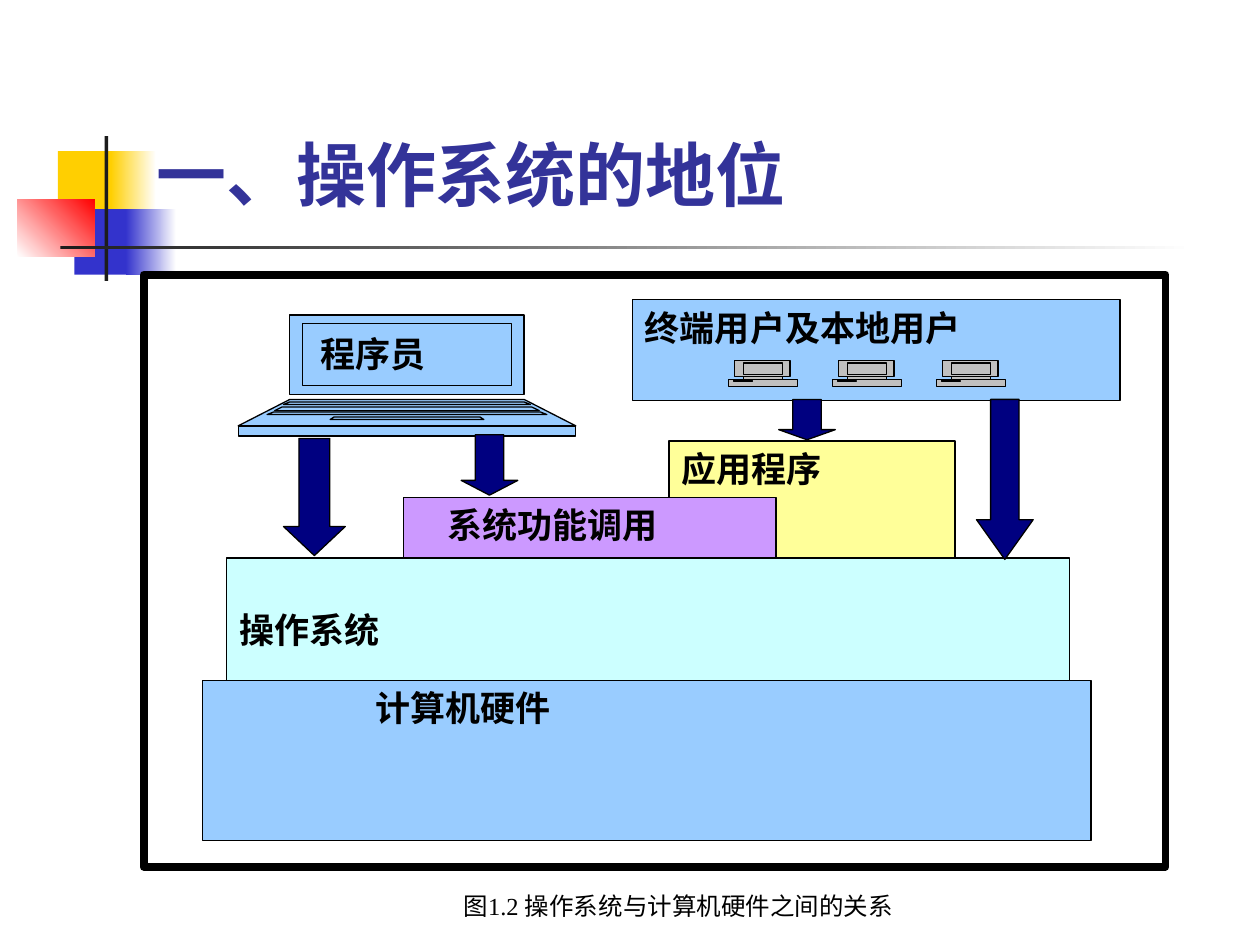
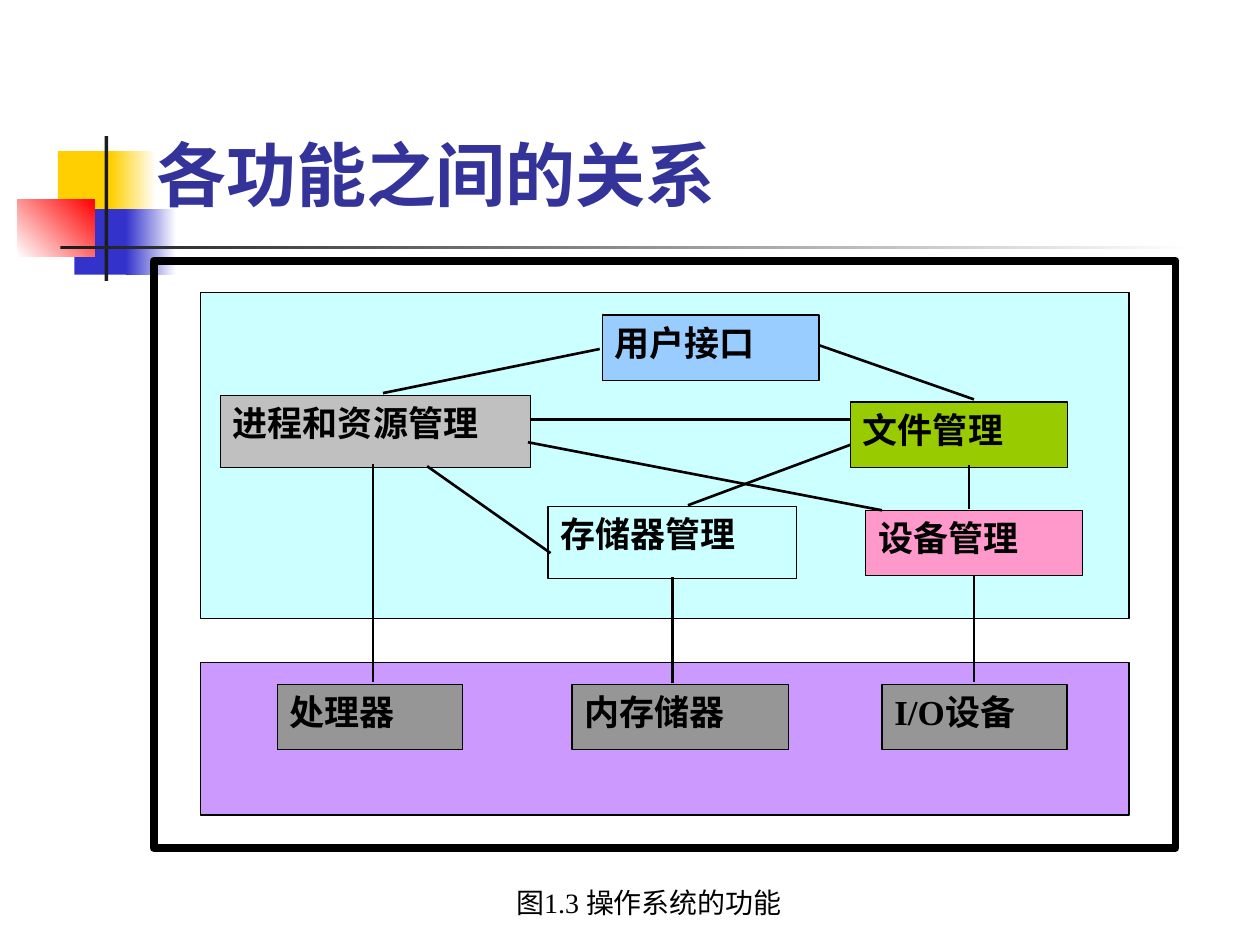
"""Builds two slides on the place of an operating system and the links between its functions."""
from lxml.etree import SubElement
from pptx import Presentation
from pptx.dml.color import RGBColor
from pptx.enum.shapes import MSO_CONNECTOR, MSO_SHAPE as Kind
from pptx.enum.text import MSO_ANCHOR as Anchor, MSO_AUTO_SIZE, PP_ALIGN as Align
from pptx.oxml.ns import qn
from pptx.util import Inches, Pt

hue = RGBColor.from_string
BLACK, WHITE, BLUE, CYAN, PURPLE = "000000", "FFFFFF", "99CCFF", "CCFFFF", "CC99FF"
SILVER, GREY, NAVY, INK, GOLD, INDIGO = "C0C0C0", "969696", "000080", "1C1C1C", "FFCF01", "3333CC"
SANS, SERIF = "Noto Sans CJK SC", "Times New Roman"
THIN, THICK = 0.74, 4.5


def paint(shape, fill, border=THIN):
    """Fill a shape with one colour, a pair of colours or nothing, and outline it."""
    shape.shadow.inherit = False
    if fill is None:
        shape.fill.background()
    elif isinstance(fill, tuple):
        shape.fill.gradient()
        for stop, tone in zip(shape.fill.gradient_stops, fill):
            stop.color.rgb = hue(tone)
    else:
        shape.fill.solid()
        shape.fill.fore_color.rgb = hue(fill)
    if border:
        shape.line.color.rgb = hue(BLACK)
        shape.line.width = Pt(border)
    else:
        shape.line.fill.background()
    return shape


def write(shape, text, font, size=20, bold=True, align=Align.JUSTIFY, left=0.1, top=0.05):
    """Put one formatted paragraph at the top of a shape."""
    frame = shape.text_frame
    frame.word_wrap = True
    frame.vertical_anchor = Anchor.TOP
    frame.margin_left, frame.margin_top = Inches(left), Inches(top)
    para = frame.paragraphs[0]
    para.text, para.alignment = text, align
    para.font.name, para.font.size, para.font.bold = font, Pt(size), bold
    para.font.color.rgb = hue(BLACK)


deck = Presentation()
deck.slide_width, deck.slide_height = Inches(10), Inches(7.5)

ornaments = [
    ((0.46, 1.2, 0.48, 0.52), GOLD, 0),
    ((0.88, 1.2, 0.36, 0.52), (GOLD, WHITE), 0),
    ((0.59, 1.66, 0.46, 0.52), INDIGO, 0),
    ((1, 1.66, 0.4, 0.52), (INDIGO, WHITE), 0),
    ((0.14, 1.58, 0.61, 0.46), (WHITE, "FF0000"), 45),
    ((0.83, 1.08, 0.03, 1.15), INK, 0),
    ((0.48, 1.95, 9, 0.03), (INK, WHITE), 0),
]
pages = []
for heading in ("一、操作系统的地位", "各功能之间的关系"):
    page = deck.slides.add_slide(deck.slide_layouts[5])
    title = page.shapes.title
    title.left, title.top, title.width, title.height = map(Inches, (1.14, 0.76, 8.52, 1))
    title.text_frame.auto_size = MSO_AUTO_SIZE.NONE
    title.text_frame.vertical_anchor = Anchor.BOTTOM
    para = title.text_frame.paragraphs[0]
    para.text, para.alignment = heading, Align.LEFT
    para.font.name, para.font.size, para.font.bold = "Roboto", Pt(40), True
    para.font.color.rgb = hue("333399")
    for bounds, fill, angle in ornaments:
        ornament = paint(page.shapes.add_shape(Kind.RECTANGLE, *map(Inches, bounds)), fill, 0)
        if isinstance(fill, tuple):
            ornament.fill.gradient_angle = angle
        title.element.addprevious(ornament.element)
    pages.append(page)
position, functions = pages

layers = [
    ("应用程序", (5.31, 3.5, 2.27, 0.93), "FFFF99", 0.1, 0.05),
    ("计算机硬件", (1.61, 5.4, 7.05, 1.27), BLUE, 1.37, 0.05),
    ("操作系统", (1.8, 4.43, 6.69, 0.97), CYAN, 0.1, 0.4),
    ("系统功能调用", (3.2, 3.95, 2.96, 0.48), PURPLE, 0.35, 0.05),
    ("终端用户及本地用户", (5.02, 2.38, 3.87, 0.8), BLUE, 0.1, 0.05),
]
for text, bounds, fill, left, top in layers:
    layer = paint(position.shapes.add_shape(Kind.RECTANGLE, *map(Inches, bounds)), fill)
    write(layer, text, SANS, left=left, top=top)

terminal_outline = [
    (0.12, 0.15), (0.12, 0.13), (0.05, 0.13), (0.05, 0), (0.49, 0), (0.49, 0.13),
    (0.43, 0.13), (0.43, 0.15), (0.55, 0.15), (0.55, 0.21), (0, 0.21), (0, 0.15),
]
terminal_details = [(0.12, 0.02, 0.31, 0.09), (0.12, 0.13, 0.31, 0.02), (0.04, 0.16, 0.15, 0.01)]
for column in range(3):
    x, y = 5.78 + 0.825 * column, 2.86
    points = [(Inches(x + dx), Inches(y + dy)) for dx, dy in terminal_outline]
    builder = position.shapes.build_freeform(*points[0])
    builder.add_line_segments(points[1:])
    paint(builder.convert_to_shape(), SILVER)
    for dx, dy, width, height in terminal_details:
        bounds = map(Inches, (x + dx, y + dy, width, height))
        paint(position.shapes.add_shape(Kind.RECTANGLE, *bounds), SILVER)

laptop_center = 3.23
laptop_parts = [
    (2.5, 3.13, 0.93, 0.93), (3.17, 3.38, 0.93, 1.34), (3.38, 3.46, 1.34, 1.34),
    (2.57, 3.06, 0.83, 0.83), (3.19, 3.21, 0.93, 0.98), (3.23, 3.26, 0.99, 1.05),
    (3.27, 3.29, 1.06, 1.11), (3.31, 3.33, 0.58, 0.61),
]
for top, bottom, top_half, bottom_half in laptop_parts:
    points = [
        (Inches(laptop_center + dx), Inches(y))
        for dx, y in ((-top_half, top), (top_half, top), (bottom_half, bottom), (-bottom_half, bottom))
    ]
    builder = position.shapes.build_freeform(*points[0])
    builder.add_line_segments(points[1:])
    part = paint(builder.convert_to_shape(), BLUE)
    if top == 2.57:
        write(part, "程序员", SANS, left=0.14, top=0.07)

arrows = [
    ((3.66, 3.45, 0.45, 0.48), 0.26), ((2.25, 3.48, 0.49, 0.93), 0.47),
    ((7.75, 3.17, 0.45, 1.27), 0.7), ((6.18, 3.17, 0.45, 0.32), 0.25),
]
for bounds, head in arrows:
    arrow = paint(position.shapes.add_shape(Kind.DOWN_ARROW, *map(Inches, bounds)), NAVY)
    arrow.adjustments[0], arrow.adjustments[1] = 0.5, head

modules = [
    ("", (1.59, 5.26, 7.37, 1.21), PURPLE),
    ("I/O设备", (7, 5.43, 1.47, 0.52), GREY),
    ("处理器", (2.2, 5.43, 1.47, 0.52), GREY),
    ("内存储器", (4.54, 5.43, 1.72, 0.52), GREY),
    ("", (1.59, 2.32, 7.37, 2.59), CYAN),
    ("文件管理", (6.75, 3.19, 1.72, 0.52), "99CC00"),
    ("进程和资源管理", (1.75, 3.14, 2.46, 0.57), SILVER),
    ("存储器管理", (4.35, 4.02, 1.97, 0.57), CYAN),
    ("设备管理", (6.87, 4.05, 1.72, 0.52), "FF99CC"),
    ("用户接口", (4.78, 2.5, 1.72, 0.52), BLUE),
]
for text, bounds, fill in modules:
    module = paint(functions.shapes.add_shape(Kind.RECTANGLE, *map(Inches, bounds)), fill)
    if text:
        write(module, text, SERIF)

links = [
    (2.96, 5.41, 2.96, 3.68), (5.34, 5.42, 5.34, 4.58), (7.73, 5.41, 7.73, 4.56),
    (3.39, 3.7, 4.37, 4.39), (4.19, 3.51, 7, 4.05), (7.69, 3.69, 7.69, 4.04),
    (5.46, 4.01, 6.75, 3.53), (4.21, 3.33, 6.75, 3.33), (4.76, 2.77, 3.04, 3.12),
    (6.5, 2.74, 7.73, 3.17),
]
for ends in links:
    link = functions.shapes.add_connector(MSO_CONNECTOR.STRAIGHT, *map(Inches, ends))
    link.line.color.rgb = hue(BLACK)
    link.line.width = Pt(1.5)
    SubElement(link.element.spPr, qn("a:effectLst"))

figures = [
    (position, "图1.2 操作系统与计算机硬件之间的关系", 14, (2.43, 7.02, 5.91, 0.48), (1.14, 2.18, 8.11, 4.7)),
    (functions, "图1.3 操作系统的功能", 16, (3.06, 6.98, 4.18, 0.52), (1.22, 2.07, 8.11, 4.66)),
]
for page, text, size, caption_bounds, frame_bounds in figures:
    caption = paint(page.shapes.add_shape(Kind.RECTANGLE, *map(Inches, caption_bounds)), WHITE, 0)
    write(caption, text, SERIF, size, False, Align.CENTER)
    paint(page.shapes.add_shape(Kind.RECTANGLE, *map(Inches, frame_bounds)), None, THICK)

deck.save("out.pptx")
